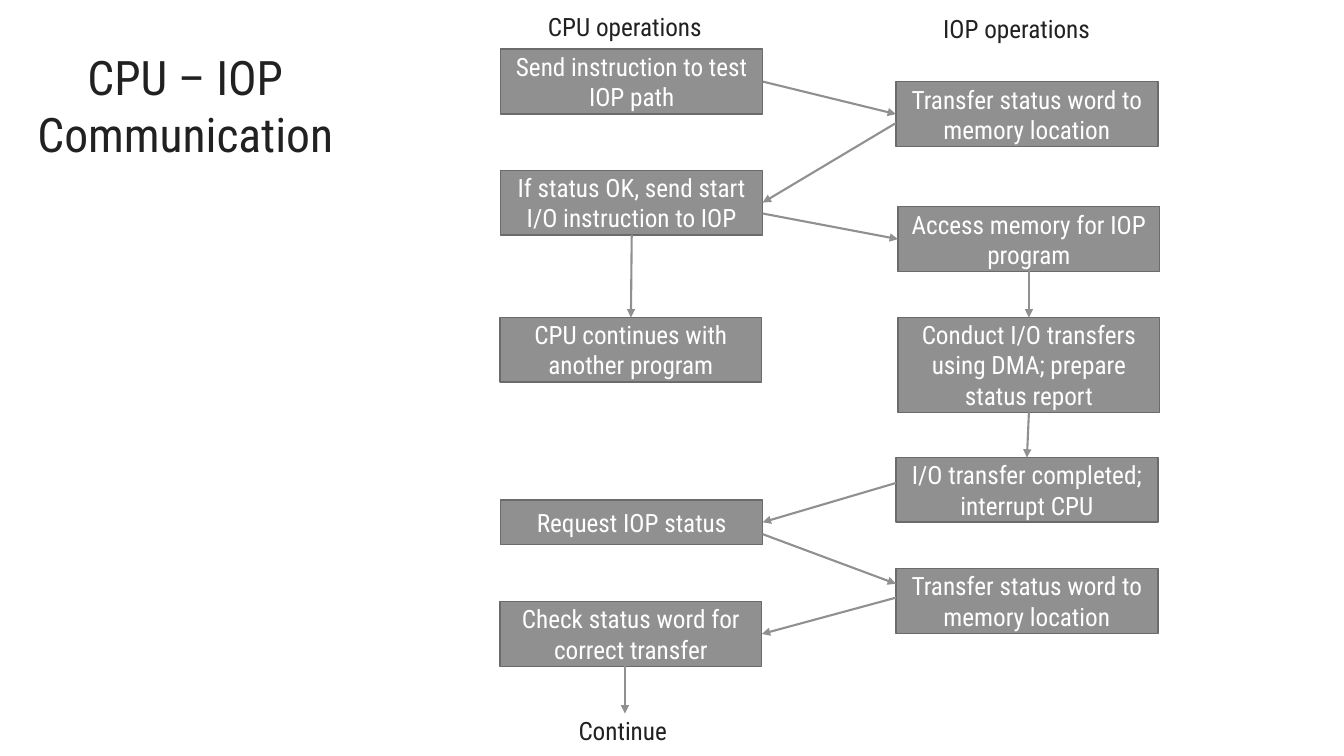
"""Build the CPU and IOP communication flow slide."""
from dataclasses import dataclass

from lxml.etree import SubElement
from pptx import Presentation
from pptx.dml.color import RGBColor
from pptx.enum.shapes import MSO_CONNECTOR as Kind, MSO_SHAPE as Form
from pptx.enum.text import MSO_ANCHOR as Anchor, MSO_AUTO_SIZE as Fit, PP_ALIGN as Align
from pptx.oxml.ns import qn
from pptx.shapes.autoshape import Shape
from pptx.shapes.shapetree import SlideShapes
from pptx.text.text import TextFrame
from pptx.util import Cm, Pt

FONT = "Roboto Condensed"
GRAY, EDGE, INK, WHITE = "909090", "6B6B6B", "212121", "FFFFFF"
BOTTOM, TOP, LEFT, RIGHT = 2, 0, 1, 3
WIDTH = 6.6


@dataclass
class Step:
    key: str
    x: float
    y: float
    text: str
    high: float = 1.63


@dataclass
class Label:
    x: float
    y: float
    wide: float
    high: float
    text: str
    size: int = 18
    align: Align = Align.LEFT


@dataclass
class Joint:
    key: str
    side: int


@dataclass
class Point:
    x: float
    y: float


@dataclass
class Arrow:
    start: Joint | Point
    end: Joint | Point


STEPS = [
    Step("test", 12.62, 1.24, "Send instruction to test IOP path"),
    Step("word", 22.58, 2.06, "Transfer status word to memory location"),
    Step("start", 12.62, 4.29, "If status OK, send start I/O instruction to IOP"),
    Step("access", 22.63, 5.21, "Access memory for IOP program"),
    Step("other", 12.6, 8, "CPU continues with another program"),
    Step("conduct", 22.63, 8, "Conduct I/O transfers using DMA; prepare status report", 2.39),
    Step("done", 22.58, 11.53, "I/O transfer completed; interrupt CPU"),
    Step("request", 12.62, 12.6, "Request IOP status", 1.12),
    Step("report", 22.58, 14.33, "Transfer status word to memory location"),
    Step("check", 12.6, 15.16, "Check status word for correct transfer"),
]

ARROWS = [
    Arrow(Point(22.58, 3.1), Joint("start", RIGHT)),
    Arrow(Joint("test", RIGHT), Joint("word", LEFT)),
    Arrow(Point(19.22, 5.38), Joint("access", LEFT)),
    Arrow(Joint("start", BOTTOM), Joint("other", TOP)),
    Arrow(Joint("access", BOTTOM), Joint("conduct", TOP)),
    Arrow(Joint("conduct", BOTTOM), Joint("done", TOP)),
    Arrow(Point(22.58, 12.17), Joint("request", RIGHT)),
    Arrow(Point(22.58, 15.06), Joint("check", RIGHT)),
    Arrow(Point(19.22, 13.46), Point(22.58, 14.71)),
    Arrow(Point(15.75, 16.79), Point(15.75, 17.98)),
]

LABELS = [
    Label(13.56, 0.15, 4.75, 1.02, "CPU operations"),
    Label(23.52, 0.2, 4.75, 1.02, "IOP operations"),
    Label(14.33, 17.91, 2.95, 1.02, "Continue"),
    Label(0.48, 1.09, 8.38, 3.18, "CPU – IOP Communication", 34, Align.CENTER),
]


def paint(code: str) -> RGBColor:
    return RGBColor.from_string(code)


def write(frame: TextFrame, text: str, size: int, color: str, align: Align) -> None:
    frame.word_wrap = True
    line = frame.paragraphs[0]
    line.text = text
    line.alignment = align
    line.font.name = FONT
    line.font.size = Pt(size)
    line.font.color.rgb = paint(color)


def draw_step(shapes: SlideShapes, step: Step) -> Shape:
    box = shapes.add_shape(Form.RECTANGLE, Cm(step.x), Cm(step.y), Cm(WIDTH), Cm(step.high))
    box.shadow.inherit = False
    box.fill.solid()
    box.fill.fore_color.rgb = paint(GRAY)
    box.line.color.rgb = paint(EDGE)
    box.line.width = Pt(1)
    box.text_frame.vertical_anchor = Anchor.MIDDLE
    write(box.text_frame, step.text, 18, WHITE, Align.CENTER)
    return box


def draw_arrow(shapes: SlideShapes, arrow: Arrow, boxes: dict[str, Shape]) -> None:
    link = shapes.add_connector(Kind.STRAIGHT, 0, 0, 0, 0)
    match arrow.start:
        case Point(x, y):
            link.begin_x, link.begin_y = Cm(x), Cm(y)
        case Joint(key, side):
            link.begin_connect(boxes[key], side)
    match arrow.end:
        case Point(x, y):
            link.end_x, link.end_y = Cm(x), Cm(y)
        case Joint(key, side):
            link.end_connect(boxes[key], side)
    link.line.color.rgb = paint(GRAY)
    link.line.width = Pt(1.5)
    SubElement(link.line._get_or_add_ln(), qn("a:tailEnd"), type="triangle")
    SubElement(link._element.spPr, qn("a:effectLst"))


def draw_label(shapes: SlideShapes, label: Label) -> None:
    box = shapes.add_textbox(Cm(label.x), Cm(label.y), Cm(label.wide), Cm(label.high))
    write(box.text_frame, label.text, label.size, INK, label.align)
    box.text_frame.auto_size = Fit.SHAPE_TO_FIT_TEXT


def main() -> None:
    deck = Presentation()
    deck.slide_width, deck.slide_height = Cm(33.87), Cm(19.05)
    shapes = deck.slides.add_slide(deck.slide_layouts[6]).shapes
    boxes = {step.key: draw_step(shapes, step) for step in STEPS}
    for arrow in ARROWS:
        draw_arrow(shapes, arrow, boxes)
    for label in LABELS:
        draw_label(shapes, label)
    deck.save("out.pptx")


if __name__ == "__main__":
    main()
